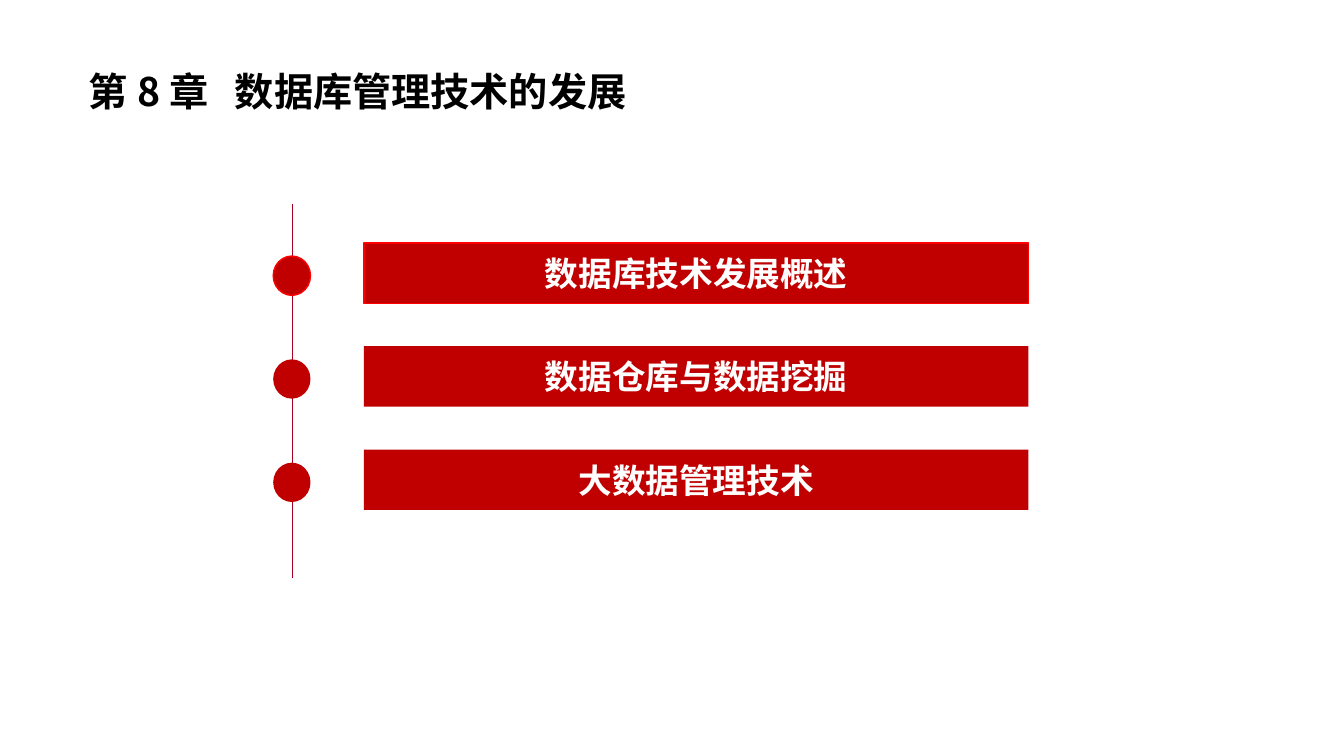
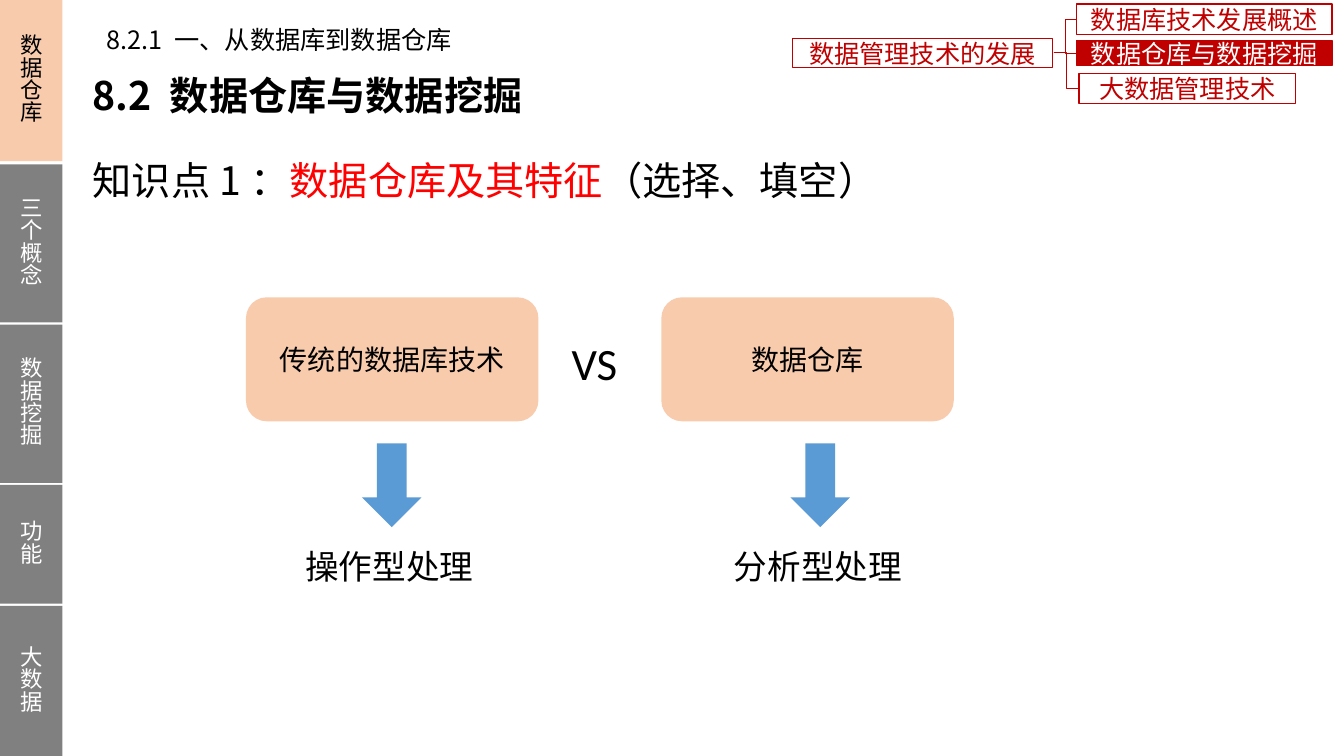
"""Build two slides on the development of database management technology."""
import lxml.etree
import pptx
import pptx.dml.color
import pptx.enum.shapes
import pptx.enum.text
import pptx.oxml.ns
import pptx.util

Inches = pptx.util.Inches
Pt = pptx.util.Pt
SHAPE = pptx.enum.shapes.MSO_SHAPE
CONNECTOR = pptx.enum.shapes.MSO_CONNECTOR
ALIGN = pptx.enum.text.PP_ALIGN
ANCHOR = pptx.enum.text.MSO_ANCHOR
qn = pptx.oxml.ns.qn

COLORS = {
    "black": "000000", "white": "FFFFFF", "crimson": "C00000", "red": "FF0000",
    "maroon": "A50021", "peach": "F8CBAD", "gray": "808080", "blue": "5B9BD5",
}
SANS = "Noto Sans CJK SC"
BODY = "Noto Sans CJK JP"
TITLE = {"size": 28, "bold": True, "align": ALIGN.LEFT}
TOPICS = ["数据库技术发展概述", "数据仓库与数据挖掘", "大数据管理技术"]


def rgb(name):
    return pptx.dml.color.RGBColor.from_string(COLORS[name])


def style_run(span, size, color, font, bold=False):
    span.font.size = Pt(size)
    span.font.bold = bold
    span.font.color.rgb = rgb(color)
    span.font.name = font
    east_asian = lxml.etree.SubElement(span.font._element, qn("a:ea"))
    east_asian.set("typeface", font)


def write(box, text, size, color="black", font=SANS, bold=False, align=ALIGN.CENTER):
    para = box.text_frame.paragraphs[0]
    para.text = text
    para.alignment = align
    for span in para.runs:
        style_run(span, size, color, font, bold)
    return para


def add_shape(page, kind, place, fill=None, line=None):
    shape = page.shapes.add_shape(kind, *map(Inches, place))
    shape.shadow.inherit = False
    if fill:
        shape.fill.solid()
        shape.fill.fore_color.rgb = rgb(fill)
    else:
        shape.fill.background()
    if line:
        shape.line.color.rgb = rgb(line)
        shape.line.width = Pt(1)
    else:
        shape.line.fill.background()
    shape.text_frame.vertical_anchor = ANCHOR.MIDDLE
    return shape


def add_text(page, place, margins=(0.1, 0.05), wrap=True):
    box = page.shapes.add_textbox(*map(Inches, place))
    frame = box.text_frame
    frame.word_wrap = wrap
    frame.margin_left = frame.margin_right = Inches(margins[0])
    frame.margin_top = frame.margin_bottom = Inches(margins[1])
    return box


def add_line(page, kind, start, end, color):
    line = page.shapes.add_connector(kind, *map(Inches, start + end))
    line.line.color.rgb = rgb(color)
    line.line.width = Pt(0.5)
    lxml.etree.SubElement(line._element.spPr, qn("a:effectLst"))


def add_tab_stop(para, position):
    stops = lxml.etree.SubElement(para._p.get_or_add_pPr(), qn("a:tabLst"))
    stop = lxml.etree.SubElement(stops, qn("a:tab"))
    stop.set("pos", str(Inches(position)))
    stop.set("algn", "l")


def add_topic_row(page, top, topic, line):
    add_shape(page, SHAPE.OVAL, (2.71, top + 0.13, 0.37, 0.39), "crimson", line)
    bar = add_shape(page, SHAPE.RECTANGLE, (3.61, top, 6.59, 0.6), "crimson", line)
    write(bar, topic, 24, "white", bold=True).space_before = Pt(10)


def add_sidebar(page):
    tabs = [("数据仓库", 0, 1.6), ("三个概念", 1.63, 1.57), ("数据挖掘", 3.22, 1.57),
            ("功能", 4.81, 1.18), ("大数据", 6.01, 1.49)]
    for index, (label, top, height) in enumerate(tabs):
        fill, color = ("gray", "white") if index else ("peach", "black")
        tab = add_shape(page, SHAPE.RECTANGLE, (0, top, 0.62, height), fill)
        write(tab, label, 16, color).line_spacing = Pt(16)


def add_tag(page, place, label, active=False):
    fill, color = ("crimson", "white") if active else ("white", "crimson")
    tag = add_shape(page, SHAPE.RECTANGLE, place, fill, "crimson")
    write(tag, label, 18, color)


def add_topic_map(page):
    add_tag(page, (7.86, 0.38, 2.58, 0.29), "数据管理技术的发展")
    places = [(10.68, 0.04, 2.53, 0.3), (10.68, 0.4, 2.53, 0.25), (10.7, 0.73, 2.15, 0.3)]
    for index, (topic, place) in enumerate(zip(TOPICS, places)):
        left, top, _, height = place
        add_line(page, CONNECTOR.ELBOW, (10.45, 0.52), (left, top + height / 2), "crimson")
        add_tag(page, place, topic, active=index == 1)


def add_comparison(page, card_left, arrow_left, name, outcome):
    card = add_shape(page, SHAPE.ROUNDED_RECTANGLE, (card_left, 2.95, 2.9, 1.23), "peach")
    write(card, name, 20, font=BODY)
    add_shape(page, SHAPE.DOWN_ARROW, (arrow_left, 4.4, 0.59, 0.83), "blue")
    caption = add_text(page, (arrow_left - 0.66, 5.37, 2.7, 0.5))
    write(caption, outcome, 24, font=BODY, align=ALIGN.LEFT)


def build_chapter(page):
    add_line(page, CONNECTOR.STRAIGHT, (2.9, 2.02), (2.9, 5.73), "maroon")
    for index, topic in enumerate(TOPICS):
        add_topic_row(page, 2.41 + 1.025 * index, topic, None if index else "red")
    title = add_shape(page, SHAPE.ROUNDED_RECTANGLE, (0.74, 0.48, 7.9, 0.85))
    add_tab_stop(write(title, "第8章\t数据库管理技术的发展", **TITLE), 1.45)


def build_warehouse(page):
    write(add_text(page, (0.8, 0.65, 9.65, 0.59), (0.12, 0.06)),
          "8.2 数据仓库与数据挖掘", **TITLE)
    point = add_text(page, (0.8, 1.15, 12.16, 1.04), (0.12, 0.06))
    point.text_frame.vertical_anchor = ANCHOR.MIDDLE
    para = point.text_frame.paragraphs[0]
    para.line_spacing = 1.5
    for text, color in [("知识点1：", "black"), ("数据仓库及其特征", "red"),
                        ("（选择、填空）", "black")]:
        span = para.add_run()
        span.text = text
        style_run(span, 28, color, SANS)
    add_comparison(page, 2.44, 3.59, "传统的数据库技术", "操作型处理")
    add_comparison(page, 6.56, 7.84, "数据仓库", "分析型处理")
    write(add_text(page, (5.57, 3.28, 0.99, 0.64)), "VS", 32,
          font="Calibri", align=ALIGN.LEFT)
    add_sidebar(page)
    add_topic_map(page)
    write(add_text(page, (0.96, 0.19, 3.62, 0.4), wrap=False),
          "8.2.1 一、从数据库到数据仓库", 18, align=ALIGN.LEFT)


def main():
    deck = pptx.Presentation()
    deck.slide_width = Inches(13.33)
    deck.slide_height = Inches(7.5)
    for build in (build_chapter, build_warehouse):
        build(deck.slides.add_slide(deck.slide_layouts[6]))
    deck.save("out.pptx")


if __name__ == "__main__":
    main()
